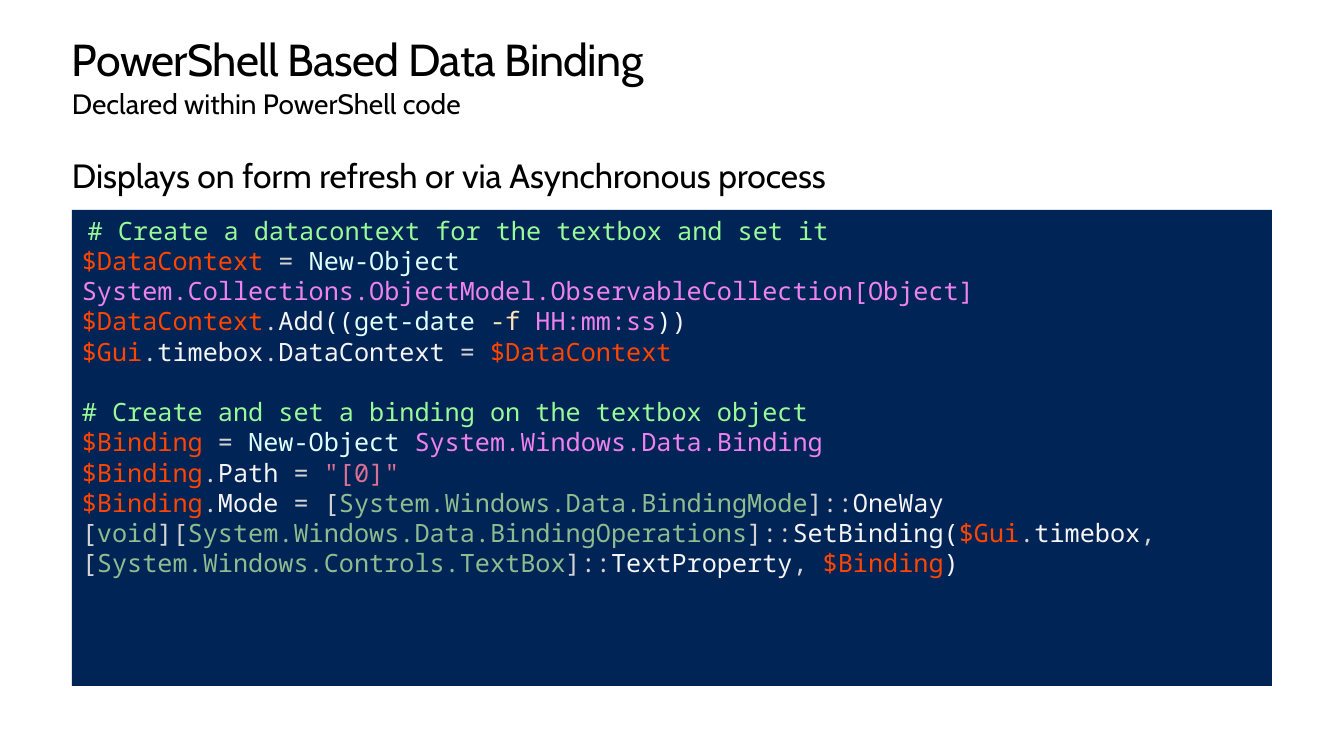
from pptx import Presentation
from pptx.dml.color import RGBColor
from pptx.enum.shapes import MSO_SHAPE
from pptx.enum.text import MSO_ANCHOR, PP_ALIGN
from pptx.util import Emu, Pt

RECTANGLE = MSO_SHAPE.RECTANGLE
TOP = MSO_ANCHOR.TOP
LEFT = PP_ALIGN.LEFT

EMU_PER_PX = 914400 / 100.8
SLIDE_WIDTH, SLIDE_HEIGHT = 1344, 756
MARGIN, CONTENT_WIDTH = 72, 1200

TEXT_FONT = "Cabin"
CODE_FONT = "Noto Sans Mono"
CODE_SIZE = 18
CODE_LINE_HEIGHT = 21.6
TITLE_LINE_HEIGHT = 36.2

BLACK = RGBColor(0x00, 0x00, 0x00)
WHITE = RGBColor(0xFF, 0xFF, 0xFF)
CONSOLE = RGBColor(0x01, 0x24, 0x56)
COMMENT = RGBColor(0x98, 0xFB, 0x98)
VARIABLE = RGBColor(0xFF, 0x45, 0x00)
OPERATOR = RGBColor(0xD3, 0xD3, 0xD3)
COMMAND = RGBColor(0xE0, 0xFF, 0xFF)
ARGUMENT = RGBColor(0xEE, 0x82, 0xEE)
MEMBER = RGBColor(0xF5, 0xF5, 0xF5)
PARAMETER = RGBColor(0xFF, 0xE4, 0xB5)
STRING = RGBColor(0xDB, 0x70, 0x93)
TYPE = RGBColor(0x8F, 0xBC, 0x8F)

# Each block is a list of code lines, each line a list of (text, colour) tokens.
CONTEXT_BLOCK = [
    [("# Create a datacontext for the textbox and set it", COMMENT)],
    [("$DataContext ", VARIABLE), ("= ", OPERATOR), ("New-Object ", COMMAND),
     ("System.Collections.ObjectModel.ObservableCollection[Object]", ARGUMENT)],
    [("$DataContext", VARIABLE), (".", OPERATOR), ("Add((", MEMBER),
     ("get-date ", COMMAND), ("-f ", PARAMETER), ("HH:mm:ss", ARGUMENT),
     ("))", MEMBER)],
    [("$Gui", VARIABLE), (".", OPERATOR), ("timebox", MEMBER), (".", OPERATOR),
     ("DataContext ", MEMBER), ("= ", OPERATOR), ("$DataContext", VARIABLE)],
]
BINDING_BLOCK = [
    [("# Create and set a binding on the textbox object", COMMENT)],
    [("$Binding ", VARIABLE), ("= ", OPERATOR), ("New-Object ", COMMAND),
     ("System.Windows.Data.Binding", ARGUMENT)],
    [("$Binding", VARIABLE), (".", OPERATOR), ("Path ", MEMBER),
     ("= ", OPERATOR), ('"[0]"', STRING)],
    [("$Binding", VARIABLE), (".", OPERATOR), ("Mode ", MEMBER),
     ("= [", OPERATOR), ("System.Windows.Data.BindingMode", TYPE),
     ("]::", OPERATOR), ("OneWay", MEMBER)],
    [("[", OPERATOR), ("void", TYPE), ("][", OPERATOR),
     ("System.Windows.Data.BindingOperations", TYPE), ("]::", OPERATOR),
     ("SetBinding(", MEMBER), ("$Gui", VARIABLE), (".", OPERATOR),
     ("timebox", MEMBER), (", [", OPERATOR),
     ("System.Windows.Controls.TextBox", TYPE), ("]::", OPERATOR),
     ("TextProperty", MEMBER), (", ", OPERATOR), ("$Binding", VARIABLE),
     (")", MEMBER)],
]


def px(length):
    return Emu(round(length * EMU_PER_PX))


def content_box(top, height):
    """Return the frame of a full-width element."""
    return px(MARGIN), px(top), px(CONTENT_WIDTH), px(height)


def add_run(paragraph, text, font_name, size, color):
    run = paragraph.add_run()
    run.text = text
    run.font.name = font_name
    run.font.size = Pt(size)
    run.font.color.rgb = color


def add_heading(slide, text, top, height, size):
    """Add one line of text without insets and return its box."""
    heading = slide.shapes.add_textbox(*content_box(top, height))
    frame = heading.text_frame
    frame.word_wrap = True
    frame.margin_left = frame.margin_right = 0
    frame.margin_top = frame.margin_bottom = 0
    add_run(frame.paragraphs[0], text, TEXT_FONT, size, BLACK)
    return heading


def add_title(slide, text, top, height, size):
    """Add a white-filled heading with tight letter and line spacing."""
    title = add_heading(slide, text, top, height, size)
    title.fill.solid()
    title.fill.fore_color.rgb = WHITE
    paragraph = title.text_frame.paragraphs[0]
    paragraph.line_spacing = Pt(TITLE_LINE_HEIGHT)
    paragraph.runs[0].font._element.set("spc", "-50")


def add_code_panel(slide, blocks, top, height):
    """Add a console panel whose blocks stand one code line apart."""
    panel = slide.shapes.add_shape(RECTANGLE, *content_box(top, height))
    panel.shadow.inherit = False
    panel.fill.solid()
    panel.fill.fore_color.rgb = CONSOLE
    panel.line.fill.background()

    frame = panel.text_frame
    frame.word_wrap = True
    frame.vertical_anchor = TOP
    paragraph = frame.paragraphs[0]
    add_run(paragraph, " ", TEXT_FONT, CODE_SIZE, BLACK)
    for block_index, block in enumerate(blocks):
        for line_index, tokens in enumerate(block):
            if block_index or line_index:
                paragraph = frame.add_paragraph()
            if block_index and not line_index:
                paragraph.space_before = Pt(CODE_LINE_HEIGHT)
            paragraph.alignment = LEFT
            for text, color in tokens:
                add_run(paragraph, text, CODE_FONT, CODE_SIZE, color)


def main():
    presentation = Presentation()
    presentation.slide_width = px(SLIDE_WIDTH)
    presentation.slide_height = px(SLIDE_HEIGHT)
    slide = presentation.slides.add_slide(presentation.slide_layouts[6])

    add_title(slide, "PowerShell Based Data Binding", 35, 50, 32)
    add_heading(slide, "Declared within PowerShell code", 87, 50, 20)
    add_heading(slide, "Displays on form refresh or via Asynchronous process",
                155, 531, 24)
    add_code_panel(slide, [CONTEXT_BLOCK, BINDING_BLOCK], 210, 476)

    presentation.save("out.pptx")


if __name__ == "__main__":
    main()
